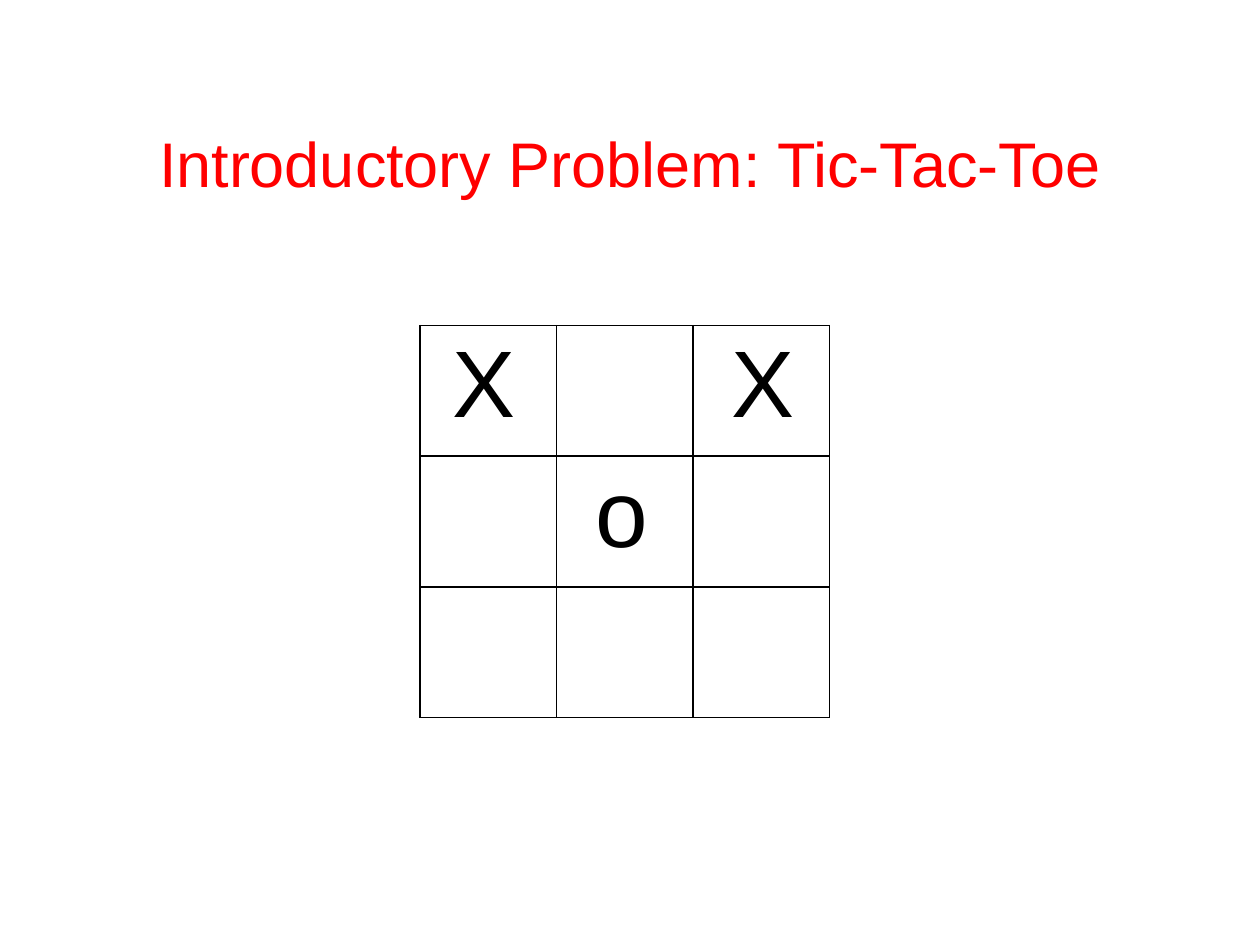
from itertools import product

from lxml.etree import SubElement
from pptx import Presentation
from pptx.dml.color import RGBColor
from pptx.enum.text import MSO_ANCHOR as Anchor, PP_ALIGN as Align
from pptx.oxml.ns import qn
from pptx.util import Pt

RED = RGBColor(0xFF, 0x00, 0x00)
BLACK = RGBColor(0x00, 0x00, 0x00)
FONT = "Arial"
GRID = 3
MARKS = {
    (0, 0): [(" ", 40), ("X", 54)],
    (0, 2): [(" X", 54)],
    (1, 1): [(" o", 54)],
}


def add_run(paragraph, text, size, color):
    """Append one formatted run to the paragraph."""
    run = paragraph.add_run()
    run.text = text
    run.font.name = FONT
    run.font.size = Pt(size)
    run.font.color.rgb = color


def add_title(slide, text):
    """Place and fill the title placeholder."""
    title = slide.shapes.title
    title.left, title.top, title.width, title.height = Pt(0), Pt(48), Pt(720), Pt(90)
    title.text_frame.vertical_anchor = Anchor.MIDDLE
    heading = title.text_frame.paragraphs[0]
    heading.alignment = Align.CENTER
    add_run(heading, text, 36, RED)


def add_borders(cell, color, width):
    """Draw a solid line on all four sides of the cell."""
    properties = cell._tc.get_or_add_tcPr()
    for position, side in enumerate(("a:lnL", "a:lnR", "a:lnT", "a:lnB")):
        line = SubElement(properties, qn(side), w=str(Pt(width)))
        fill = SubElement(line, qn("a:solidFill"))
        SubElement(fill, qn("a:srgbClr"), val=str(color))
        properties.insert(position, line)


def add_board(slide, left, top, column_width, row_height):
    """Add the square game board with its marks."""
    board = slide.shapes.add_table(
        GRID, GRID, Pt(left), Pt(top), Pt(GRID * column_width), Pt(GRID * row_height)
    ).table
    board.first_row = board.horz_banding = False
    for column in board.columns:
        column.width = Pt(column_width)
    for row in board.rows:
        row.height = Pt(row_height)
    for square in product(range(GRID), repeat=2):
        cell = board.cell(*square)
        cell.fill.background()
        add_borders(cell, BLACK, 1)
        for text, size in MARKS.get(square, []):
            add_run(cell.text_frame.paragraphs[0], text, size, BLACK)


def main():
    """Build the slide and save it."""
    deck = Presentation()
    deck.slide_width, deck.slide_height = Pt(720), Pt(540)
    slide = deck.slides.add_slide(deck.slide_layouts[5])
    add_title(slide, "Introductory Problem: Tic-Tac-Toe")
    add_board(slide, left=240, top=186, column_width=78, row_height=74.67)
    deck.save("out.pptx")


if __name__ == "__main__":
    main()
